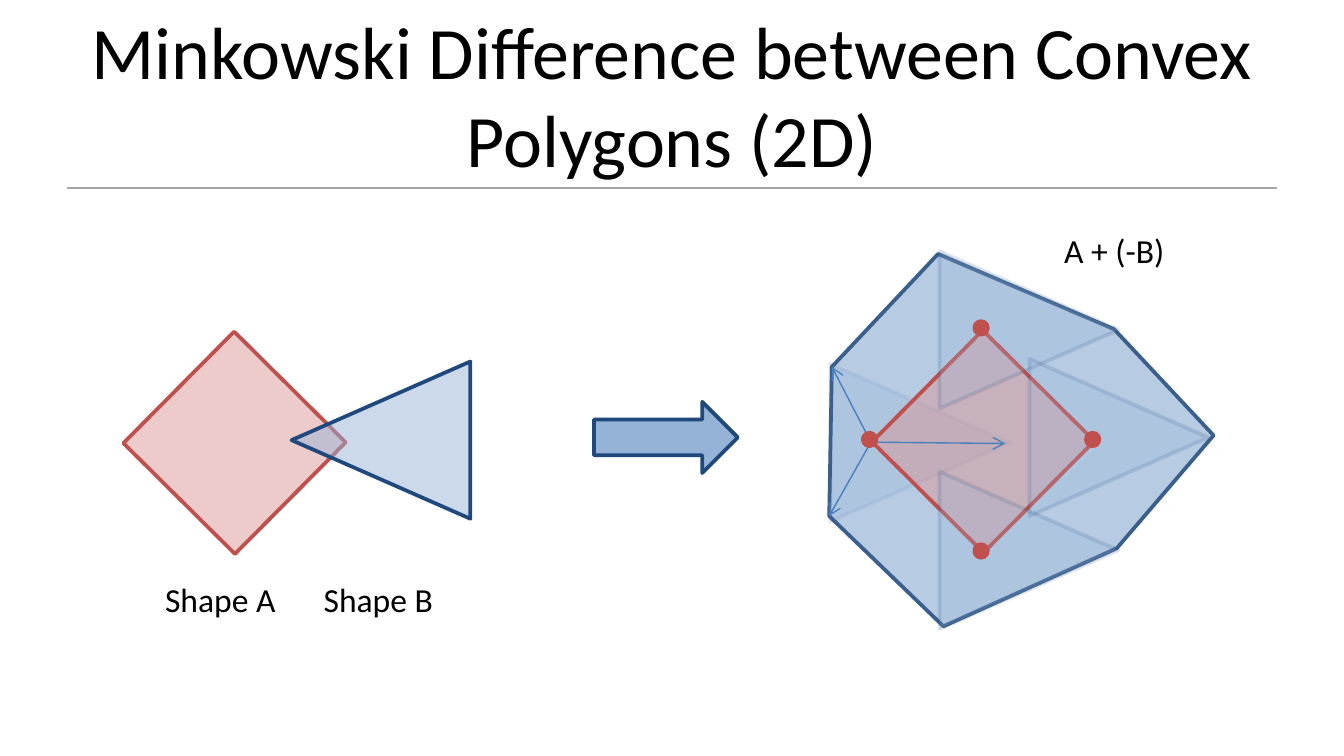
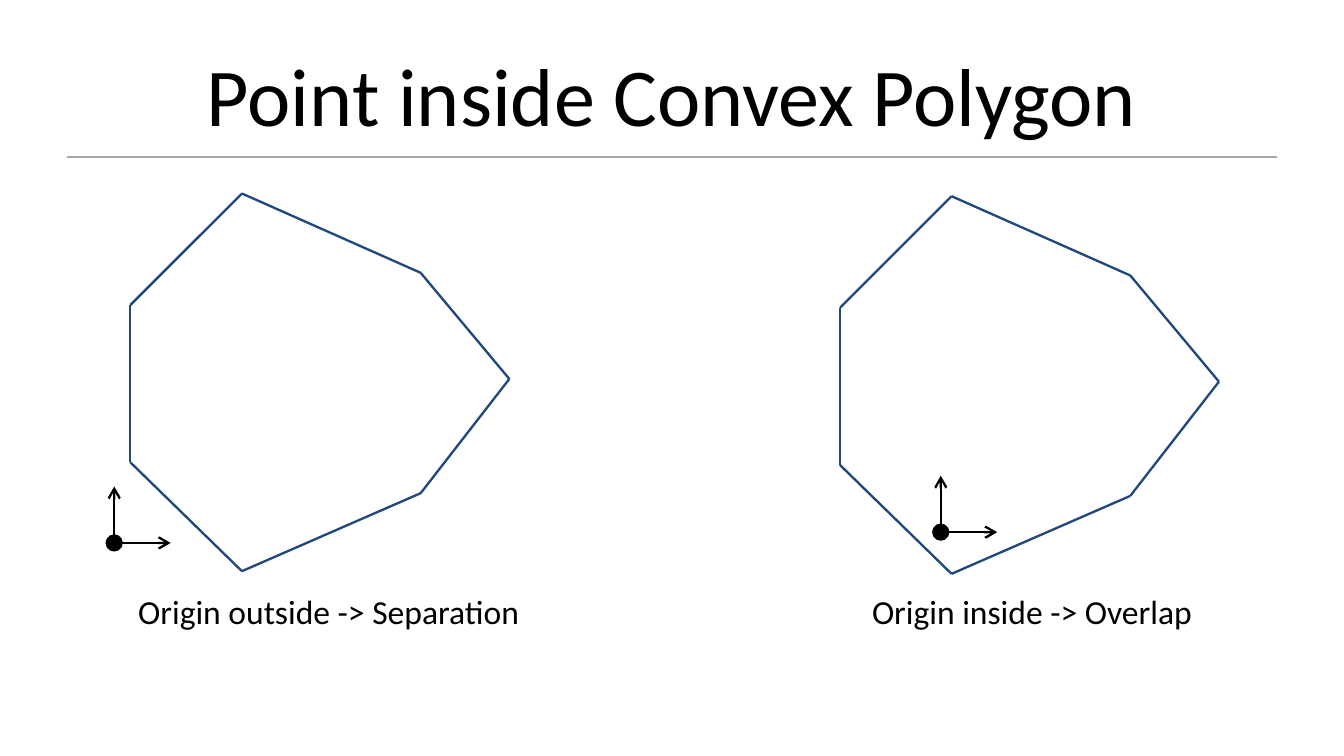
from pptx import Presentation
from pptx.dml.color import RGBColor
from pptx.enum.shapes import MSO_CONNECTOR, MSO_SHAPE
from pptx.enum.text import MSO_ANCHOR, MSO_AUTO_SIZE, PP_ALIGN
from pptx.oxml.ns import qn
from pptx.util import Inches, Pt
from lxml import etree

STRAIGHT = MSO_CONNECTOR.STRAIGHT
TRIANGLE = MSO_SHAPE.ISOSCELES_TRIANGLE
RECTANGLE = MSO_SHAPE.RECTANGLE
RIGHT_ARROW = MSO_SHAPE.RIGHT_ARROW
OVAL = MSO_SHAPE.OVAL
MIDDLE = MSO_ANCHOR.MIDDLE
NO_FIT = MSO_AUTO_SIZE.NONE
GROW = MSO_AUTO_SIZE.SHAPE_TO_FIT_TEXT
LEFT = PP_ALIGN.LEFT
CENTER = PP_ALIGN.CENTER

FONT = "Calibri"
BLACK = RGBColor(0x00, 0x00, 0x00)
GREY = RGBColor(0xA6, 0xA6, 0xA6)
NAVY = RGBColor(0x1F, 0x49, 0x7D)
STEEL = RGBColor(0x3A, 0x5F, 0x8C)
BLUE = RGBColor(0x4B, 0x7E, 0xBC)
LIGHT_BLUE = RGBColor(0x95, 0xB3, 0xD7)
RED = RGBColor(0xC0, 0x50, 0x4D)
PINK = RGBColor(0xD9, 0x96, 0x94)

SLIDE_WIDTH = Inches(10)
TRIANGLE_SIZE = (1.17, 1.33)
DIAMOND_SIDE = 1.17
DIAMOND_REACH = 0.83
DOT = 0.1
AXIS = 0.42


def write(tf, text, size=18, color=BLACK, align=LEFT):
    """Put one formatted line of text into a text frame."""
    p = tf.paragraphs[0]
    p.alignment = align
    r = p.add_run()
    r.text = text
    r.font.name = FONT
    r.font.size = Pt(size)
    r.font.color.rgb = color


def set_alpha(s, parent, percent):
    """Make the solid colour under the given part of a shape translucent."""
    for color in s.element.xpath(f"./{parent}/a:solidFill/a:srgbClr"):
        etree.SubElement(color, qn("a:alpha")).set("val", str(percent * 1000))


class Deck:
    """Holds the shared style and the current slide."""

    def __init__(self):
        """Start an empty 16:9 presentation."""
        self.prs = Presentation()
        self.prs.slide_width = SLIDE_WIDTH
        self.prs.slide_height = SLIDE_WIDTH * 9 // 16
        self.slide = None

    def new_slide(self, title, size, rule_y):
        """Add a titled slide with a thin rule under the title."""
        self.slide = self.prs.slides.add_slide(self.prs.slide_layouts[5])
        sp = self.slide.shapes.title
        sp.left, sp.top = Inches(0.5), Inches(0.23)
        sp.width, sp.height = Inches(9), Inches(0.94)
        tf = sp.text_frame
        tf.word_wrap = True
        tf.auto_size = NO_FIT
        tf.vertical_anchor = MIDDLE
        write(tf, title, size=size, align=CENTER)
        self.line((0.5, rule_y), (9.5, rule_y), GREY, 1)

    def line(self, start, end, color, width, arrow=False):
        """Draw a straight line, with an arrowhead at its end if asked."""
        s = self.slide.shapes.add_connector(
            STRAIGHT, *(Inches(v) for v in (*start, *end)))
        s.line.color.rgb = color
        s.line.width = Pt(width)
        if arrow:
            ln = s.element.xpath("./p:spPr/a:ln")[0]
            etree.SubElement(ln, qn("a:tailEnd")).set("type", "arrow")
        etree.SubElement(s.element.spPr, qn("a:effectLst"))

    def paint(self, s, fill, line, alpha=100, line_alpha=100):
        """Give a shape its flat fill and outline."""
        s.shadow.inherit = False
        s.fill.solid()
        s.fill.fore_color.rgb = fill
        s.line.color.rgb = line
        s.line.width = Pt(2)
        if alpha < 100:
            set_alpha(s, "p:spPr", alpha)
        if line_alpha < 100:
            set_alpha(s, "p:spPr/a:ln", line_alpha)

    def shape(self, kind, x, y, w, h, fill, line, rotation=0, **alphas):
        """Draw a preset shape."""
        s = self.slide.shapes.add_shape(
            kind, Inches(x), Inches(y), Inches(w), Inches(h))
        s.rotation = rotation
        self.paint(s, fill, line, **alphas)

    def polygon(self, points, fill, line, alpha):
        """Draw a closed filled outline through the points."""
        start, *rest = [(Inches(x), Inches(y)) for x, y in points]
        builder = self.slide.shapes.build_freeform(*start)
        builder.add_line_segments(rest, close=True)
        self.paint(builder.convert_to_shape(), fill, line, alpha)

    def triangle(self, x, y):
        """Draw a faint mirrored copy of shape B."""
        self.shape(TRIANGLE, x, y, *TRIANGLE_SIZE, LIGHT_BLUE, NAVY,
                   rotation=90, alpha=24, line_alpha=15)

    def diamond(self, x, y):
        """Draw shape A as a turned square."""
        self.shape(RECTANGLE, x, y, DIAMOND_SIDE, DIAMOND_SIDE,
                   PINK, RED, rotation=44.8, alpha=49)

    def dot(self, cx, cy, color):
        """Draw a small filled dot around its centre."""
        self.shape(OVAL, cx - DOT / 2, cy - DOT / 2, DOT, DOT, color, color)

    def label(self, text, x, y, w):
        """Add a one-line caption."""
        s = self.slide.shapes.add_textbox(
            Inches(x), Inches(y), Inches(w), Inches(0.4))
        s.text_frame.word_wrap = False
        s.text_frame.auto_size = GROW
        write(s.text_frame, text)

    def axes(self, x, y):
        """Draw an origin dot with its two axes."""
        for end in ((x, y - AXIS), (x + AXIS, y)):
            self.line((x, y), end, BLACK, 1.25, arrow=True)
        self.dot(x, y, BLACK)


def difference_slide(deck):
    """Show two shapes and their Minkowski difference."""
    deck.new_slide("Minkowski Difference between Convex Polygons (2D)", 39.6, 1.4)
    hull = [(6.17, 3.84), (6.19, 2.73), (6.98, 1.89), (8.29, 2.45),
            (9.03, 3.24), (8.31, 4.08), (7.02, 4.66)]
    deck.triangle(6.26, 2.63)
    deck.polygon(hull, LIGHT_BLUE, STEEL, 68)
    deck.diamond(1.16, 2.71)
    deck.shape(RIGHT_ARROW, 4.42, 2.99, 1.07, 0.53, LIGHT_BLUE, NAVY)
    deck.diamond(6.73, 2.7)
    deck.shape(TRIANGLE, 2.25, 2.61, *TRIANGLE_SIZE, LIGHT_BLUE, NAVY,
               rotation=270, alpha=49)
    for x, y in ((7.07, 1.79), (7.07, 3.43), (7.74, 2.59)):
        deck.triangle(x, y)
    deck.label("Shape A", 1.13, 4.26, 1.03)
    deck.label("Shape B", 2.31, 4.26, 1.03)
    deck.label("A + (-B)", 7.82, 1.66, 0.96)
    for end in (hull[1], hull[0], (7.48, 3.3)):
        deck.line((6.48, 3.29), end, BLUE, 0.75, arrow=True)
    for dx, dy in ((0, -1), (1, 0), (0, 1), (-1, 0)):
        deck.dot(7.3 + dx * DIAMOND_REACH, 3.27 + dy * DIAMOND_REACH, RED)


def origin_slide(deck):
    """Compare an origin outside the polygon with one inside it."""
    deck.new_slide("Point inside Convex Polygon", 44, 1.17)
    outline = [(0.97, 3.44), (0.97, 2.27), (1.8, 1.44), (3.13, 2.03),
               (3.79, 2.82), (3.13, 3.67), (1.8, 4.25)]
    cases = (
        ((0, 0), (0.85, 4.04), "Origin outside -> Separation", 0.93, 3.07),
        ((5.28, 0.02), (7, 3.96), "Origin inside -> Overlap", 6.39, 2.67),
    )
    for (dx, dy), origin, caption, x, w in cases:
        corners = [(px + dx, py + dy) for px, py in outline]
        for start, end in zip(corners, corners[1:] + corners[:1]):
            deck.line(start, end, NAVY, 1.25)
        deck.axes(*origin)
        deck.label(caption, x, 4.35, w)


def main():
    """Build and save both slides."""
    deck = Deck()
    difference_slide(deck)
    origin_slide(deck)
    deck.prs.save("out.pptx")


if __name__ == "__main__":
    main()
